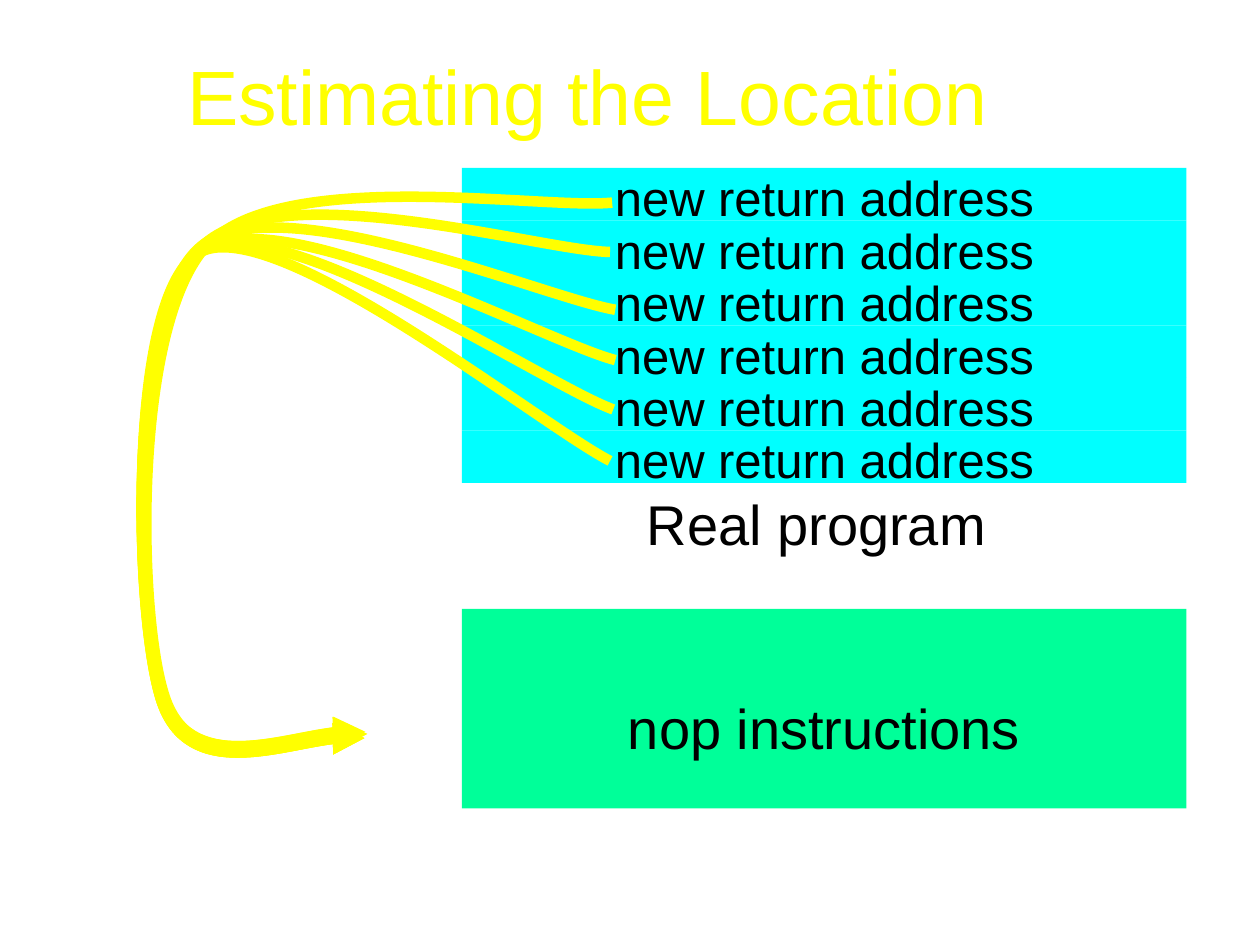
from dataclasses import dataclass

from lxml import etree
from pptx import Presentation
from pptx.dml.color import RGBColor
from pptx.enum import shapes, text
from pptx.oxml import ns
from pptx.util import Inches, Pt

YELLOW = RGBColor(0xFF, 0xFF, 0x00)
CYAN = RGBColor(0x00, 0xFF, 0xFF)
GREEN = RGBColor(0x00, 0xFF, 0x99)
WHITE = RGBColor(0xFF, 0xFF, 0xFF)
BLACK = RGBColor(0x00, 0x00, 0x00)

CELL = Inches(1) // 12
COLUMNS, ROWS = 120, 90
MEMORY_LEFT, MEMORY_WIDTH = 44, 69
ADDRESS_TOP, ADDRESS_HEIGHT, ADDRESS_COUNT = 16, 5, 6

Point = tuple[float, float]


@dataclass(frozen=True)
class Region:
    label: str
    top: float
    height: float
    fill: RGBColor
    size: float = 32
    spacing: float = 0.9
    inset: float = 0.6


@dataclass(frozen=True)
class Jump:
    start: Point
    leave: Point
    approach: Point
    shoulder: Point
    foot: Point

    def points(self) -> list[Point]:
        (ax, ay), (sx, sy), (fx, fy) = self.approach, self.shoulder, self.foot
        rebound = (2 * sx - ax, 2 * sy - ay)
        hook = [(-2.6, -7.7), (0, 0), (2.6, 7.7), (15.3, 2.8), (19.3, 3.5)]
        return [self.start, self.leave, self.approach, self.shoulder, rebound,
                *((fx + dx, fy + dy) for dx, dy in hook)]


ADDRESSES = [
    Region("new return address", ADDRESS_TOP + i * ADDRESS_HEIGHT,
           ADDRESS_HEIGHT, CYAN, size=28)
    for i in range(ADDRESS_COUNT)
]
REGIONS = [
    Region("Real program ", 46, 15, WHITE, spacing=1),
    *ADDRESSES,
    Region("nop instructions", 58, 19, GREEN, inset=8.8),
]
JUMPS = [
    Jump((58.3, 19.3), (51.8, 20), (26.6, 15.7), (19.6, 23.5), (15.7, 66.4)),
    Jump((58.1, 24), (51.6, 23.9), (26.4, 16.4), (19.2, 23.5), (15.5, 66.2)),
    Jump((58.6, 29.5), (52, 28.4), (26.3, 17.4), (19.1, 23.5), (15.4, 66.2)),
    Jump((58.6, 34.3), (52, 32.6), (26.3, 18.6), (19.1, 24), (15.4, 66.8)),
    Jump((58.4, 39), (51.8, 36.6), (26.3, 19.4), (19.1, 24), (15.4, 66.8)),
    Jump((58.1, 43.9), (51.6, 40.6), (26.3, 20.3), (19.1, 24), (15.4, 66.8)),
]


def cells(*values: float) -> list[int]:
    return [round(value * CELL) for value in values]


def write(shape, wording: str, *, size: float, color: RGBColor,
          spacing: float = 1, inset: float = 0.6,
          anchor=text.MSO_ANCHOR.TOP) -> None:
    frame = shape.text_frame
    frame.word_wrap = True
    frame.vertical_anchor = anchor
    frame.margin_top = round(inset * CELL)
    paragraph = frame.paragraphs[0]
    paragraph.text = wording
    paragraph.alignment = text.PP_ALIGN.CENTER
    paragraph.line_spacing = spacing
    font = paragraph.runs[0].font
    font.name = "Arial"
    font.size = Pt(size)
    font.color.rgb = color


def draw_region(slide, region: Region) -> None:
    block = slide.shapes.add_shape(
        shapes.MSO_SHAPE.RECTANGLE,
        *cells(MEMORY_LEFT, region.top, MEMORY_WIDTH, region.height))
    block.shadow.inherit = False
    block.fill.solid()
    block.fill.fore_color.rgb = region.fill
    block.line.fill.background()
    write(block, region.label, size=region.size, color=BLACK,
          spacing=region.spacing, inset=region.inset)


def draw_jump(slide, jump: Jump) -> None:
    start, *rest = [cells(*point) for point in jump.points()]
    builder = slide.shapes.build_freeform(*start)
    builder.add_line_segments(rest, close=False)
    arrow = builder.convert_to_shape()
    arrow.shadow.inherit = False
    arrow.fill.background()
    arrow.line.color.rgb = YELLOW
    arrow.line.width = Pt(6)

    segments = list(arrow.element.iter(ns.qn("a:lnTo")))
    for i in range(0, len(segments), 3):
        curve, *others = segments[i:i + 3]
        bezier = etree.SubElement(curve.getparent(), ns.qn("a:cubicBezTo"))
        for segment in (curve, *others):
            bezier.append(segment[0])
            segment.getparent().remove(segment)
    outline = arrow.line._get_or_add_ln()
    etree.SubElement(outline, ns.qn("a:tailEnd"), type="triangle")


def main() -> None:
    deck = Presentation()
    deck.slide_width, deck.slide_height = cells(COLUMNS, ROWS)
    slide = deck.slides.add_slide(deck.slide_layouts[6])

    title = slide.shapes.add_textbox(*cells(6, 4, 102, 10))
    write(title, "Estimating the Location ", size=44, color=YELLOW,
          anchor=text.MSO_ANCHOR.MIDDLE)
    for region in REGIONS:
        draw_region(slide, region)
    for jump in JUMPS:
        draw_jump(slide, jump)
    deck.save("out.pptx")


if __name__ == "__main__":
    main()
